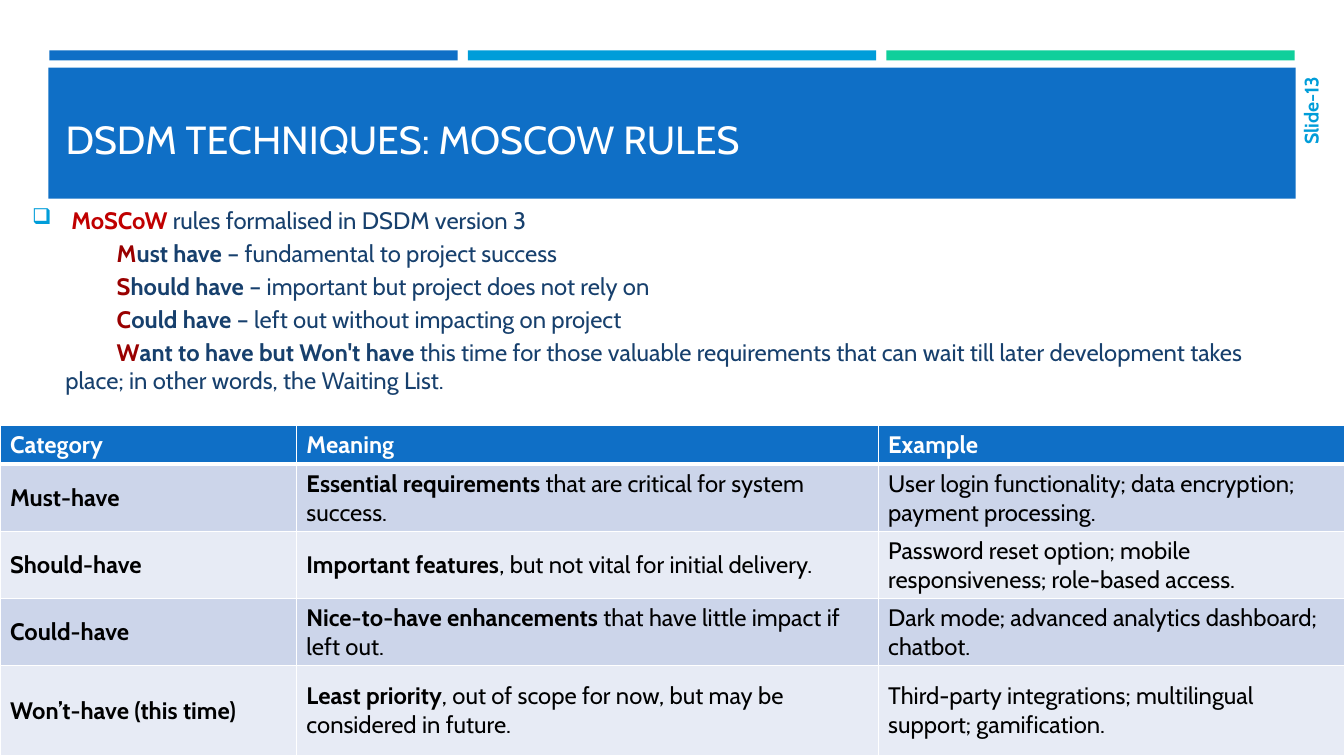
from lxml import etree
from pptx import Presentation
from pptx.dml.color import RGBColor
from pptx.enum.shapes import MSO_SHAPE
from pptx.enum.text import MSO_ANCHOR, MSO_AUTO_SIZE, PP_ALIGN
from pptx.oxml.ns import qn
from pptx.util import Inches, Pt

RECT = MSO_SHAPE.RECTANGLE
MIDDLE, BOTTOM = MSO_ANCHOR.MIDDLE, MSO_ANCHOR.BOTTOM
LEFT, RIGHT = PP_ALIGN.LEFT, PP_ALIGN.RIGHT
NO_FIT = MSO_AUTO_SIZE.NONE
TITLE_ONLY = 5

FONT = "Cabin"
COLORS = {
    "blue": "0F6FC6", "sky": "009DD9", "green": "10CF9B", "navy": "17406D",
    "red": "C00000", "maroon": "990000", "white": "FFFFFF", "black": "000000",
    "band": "CCD5EA", "pale": "E7EBF5",
}
BARS = ["blue", "sky", "green"]
RULES = [
    ("M", "ust have ", "– fundamental to project success"),
    ("S", "hould have ", "– important but project does not rely on"),
    ("C", "ould have ", "– left out without impacting on project"),
    ("W", "ant to have but Won't have ",
     "this time for those valuable requirements that can wait till later "
     "development takes place; in other words, the Waiting List."),
]
HEADER = ["Category", "Meaning", "Example"]
CATEGORIES = [
    ("Must-have", "Essential requirements", " that are critical for system success.",
     "User login functionality; data encryption; payment processing."),
    ("Should-have", "Important features", ", but not vital for initial delivery.",
     "Password reset option; mobile responsiveness; role-based access."),
    ("Could-have", "Nice-to-have enhancements", " that have little impact if left out.",
     "Dark mode; advanced analytics dashboard; chatbot."),
    ("Won’t-have (this time)", "Least priority",
     ", out of scope for now, but may be considered in future.",
     "Third-party integrations; multilingual support; gamification."),
]
COL_WIDTHS = [2.94, 5.77, 4.63]
ROW_HEIGHTS = [0.36, 0.65, 0.65, 0.65, 0.89]


def rgb(name):
    """Return the named colour."""
    return RGBColor.from_string(COLORS[name])


def add_solid(parent, name):
    """Add a solid fill element to an XML parent."""
    fill = etree.SubElement(parent, qn("a:solidFill"))
    etree.SubElement(fill, qn("a:srgbClr"), val=COLORS[name])


class SlideBuilder:
    """Draw styled elements on the current slide."""

    def __init__(self, prs):
        self.s = prs.slides.add_slide(prs.slide_layouts[TITLE_ONLY])

    def add_runs(self, p, runs, size, align=LEFT):
        """Fill a paragraph with (text, colour, bold) runs."""
        p.alignment = align
        for text, color, bold in runs:
            r = p.add_run()
            r.text = text
            r.font.name, r.font.size, r.font.bold = FONT, Pt(size), bold
            r.font.color.rgb = rgb(color)

    def rect(self, x, y, w, h, color):
        """Add a plain filled rectangle."""
        sp = self.s.shapes.add_shape(RECT, Inches(x), Inches(y), Inches(w), Inches(h))
        sp.shadow.inherit = False
        sp.fill.solid()
        sp.fill.fore_color.rgb = rgb(color)
        sp.line.fill.background()

    def title(self, x, y, w, h, text):
        """Place the title in front of the shapes drawn so far."""
        sp = self.s.shapes.title
        sp.left, sp.top, sp.width, sp.height = Inches(x), Inches(y), Inches(w), Inches(h)
        sp.element.getparent().append(sp.element)
        tf = sp.text_frame
        tf.auto_size, tf.vertical_anchor = NO_FIT, BOTTOM
        self.add_runs(tf.paragraphs[0], [(text, "white", False)], 28)

    def text(self, x, y, w, h, vert="horz"):
        """Add a middle-anchored text box and return its frame."""
        sp = self.s.shapes.add_textbox(Inches(x), Inches(y), Inches(w), Inches(h))
        tf = sp.text_frame
        tf.word_wrap, tf.vertical_anchor = True, MIDDLE
        sp.element.find(".//" + qn("a:bodyPr")).set("vert", vert)
        return tf

    def indent(self, p, margin, first, bullet=None):
        """Set the indents, spacing and optional bullet of a paragraph."""
        p.space_before = Pt(3.2)
        pPr = p._p.get_or_add_pPr()
        pPr.set("marL", str(Inches(margin)))
        pPr.set("indent", str(Inches(first)))
        if bullet:
            clr = etree.SubElement(pPr, qn("a:buClr"))
            etree.SubElement(clr, qn("a:srgbClr"), val=COLORS["sky"])
            etree.SubElement(pPr, qn("a:buSzPct"), val="92000")
            etree.SubElement(pPr, qn("a:buChar"), char=bullet)

    def cell(self, cell, runs, fill, top=1, bottom=1):
        """Fill, border and label one table cell."""
        cell.vertical_anchor = MIDDLE
        self.add_runs(cell.text_frame.paragraphs[0], runs, 17)
        tcPr = cell._tc.get_or_add_tcPr()
        for side, width in (("L", 1), ("R", 1), ("T", top), ("B", bottom)):
            ln = etree.SubElement(tcPr, qn("a:ln" + side), w=str(Pt(width)))
            add_solid(ln, "white")
        cell.fill.solid()
        cell.fill.fore_color.rgb = rgb(fill)

    def table(self, x, y, w, h, rows):
        """Add a banded table from rows of cell runs."""
        sp = self.s.shapes.add_table(len(rows), len(COL_WIDTHS), Inches(x), Inches(y),
                                     Inches(w), Inches(h))
        table = sp.table
        for col, width in zip(table.columns, COL_WIDTHS):
            col.width = Inches(width)
        for i, (row, height) in enumerate(zip(rows, ROW_HEIGHTS)):
            table.rows[i].height = Inches(height)
            fill = "blue" if i == 0 else "band" if i % 2 else "pale"
            for j, runs in enumerate(row):
                self.cell(table.cell(i, j), runs, fill,
                          top=3 if i == 1 else 1, bottom=3 if i == 0 else 1)


def main():
    """Build the slide and save it."""
    prs = Presentation()
    prs.slide_width, prs.slide_height = Inches(13.33), Inches(7.5)
    b = SlideBuilder(prs)

    for i, color in enumerate(BARS):
        b.rect(0.49 + 4.15 * i, 0.5, 4.05, 0.1, color)
    b.rect(0.48, 0.67, 12.37, 1.3, "blue")
    b.title(0.55, 0.55, 12.06, 1.11, "DSDM TECHNIQUES: MOSCOW RULES")

    tf = b.text(0.22, 1.32, 12.56, 3.31)
    p = tf.paragraphs[0]
    b.indent(p, 0.39, -0.39, "❑")
    b.add_runs(p, [("MoSCoW", "red", True),
                   (" rules formalised in DSDM version 3", "navy", False)], 17)
    for initial, rest, meaning in RULES:
        p = tf.add_paragraph()
        b.indent(p, 0.33, 0.51)
        b.add_runs(p, [(initial, "maroon", True), (rest, "navy", True),
                       (meaning, "navy", False)], 17)

    tf = b.text(12.87, 0.66, 0.26, 1.12, "vert270")
    b.add_runs(tf.paragraphs[0], [("Slide-13", "sky", True)], 14, RIGHT)

    rows = [[[(text, "white", True)] for text in HEADER]]
    for name, lead, rest, example in CATEGORIES:
        rows.append([[(name, "black", True)],
                     [(lead, "black", True), (rest, "black", False)],
                     [(example, "black", False)]])
    b.table(0, 4.22, 13.33, 3.28, rows)
    prs.save("out.pptx")


if __name__ == "__main__":
    main()
